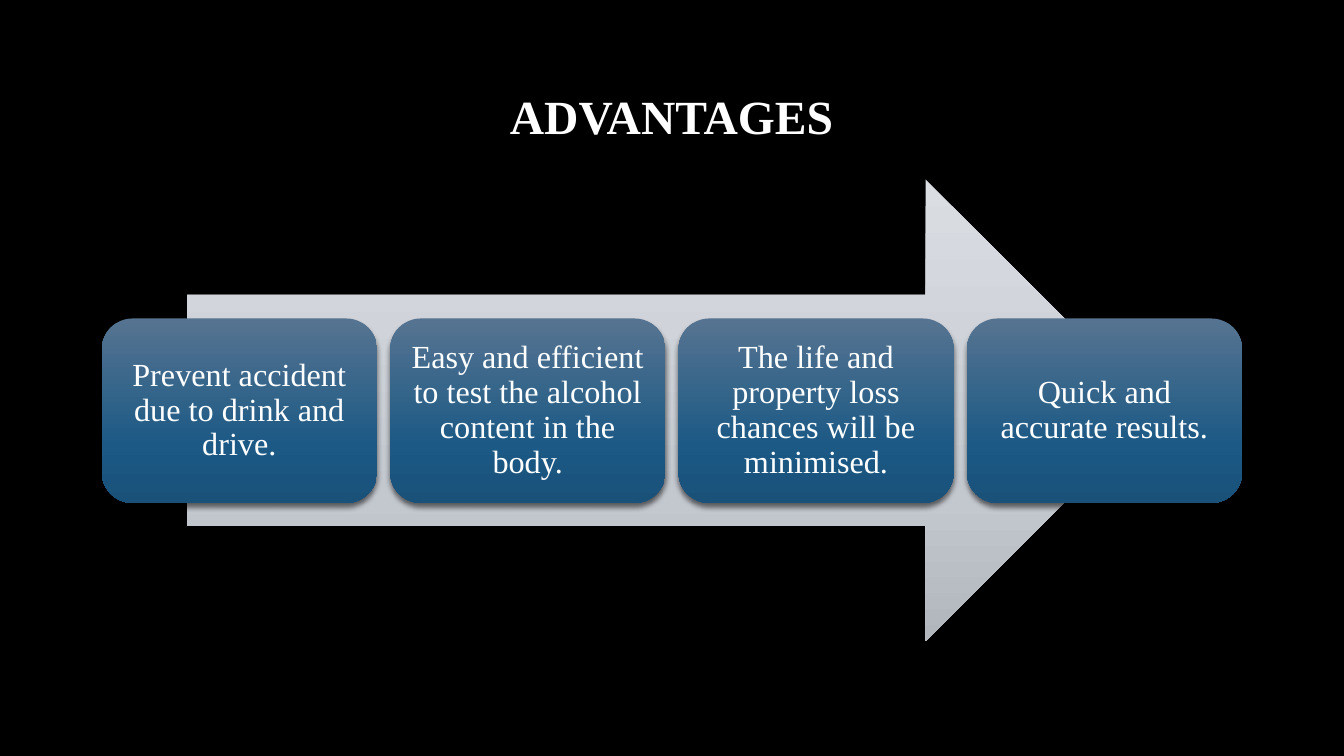
from pptx import Presentation
from pptx.dml.color import RGBColor
from pptx.enum.shapes import MSO_SHAPE
from pptx.enum.text import MSO_ANCHOR, PP_ALIGN
from pptx.oxml import parse_xml
from pptx.oxml.ns import nsdecls, qn
from pptx.util import Inches, Pt


def color(value):
    return RGBColor.from_string(value)


class SlideBuilder:
    font_name = "Times New Roman"
    text_color = "FFFFFF"

    def __init__(self, page, background):
        self.page = page
        page.background.fill.solid()
        page.background.fill.fore_color.rgb = color(background)

    def set_text(self, box, text, size, bold=False):
        frame = box.text_frame
        frame.text = text
        frame.word_wrap = True
        frame.vertical_anchor = MSO_ANCHOR.MIDDLE
        frame.margin_left = frame.margin_right = Inches(0.1)
        frame.margin_top = frame.margin_bottom = Inches(0.1)
        para = frame.paragraphs[0]
        para.alignment = PP_ALIGN.CENTER
        para.line_spacing = 0.9
        font = para.runs[0].font
        font.name, font.size, font.bold = self.font_name, Pt(size), bold
        font.color.rgb = color(self.text_color)

    def title(self, text, left, top, width, height, size):
        box = self.page.shapes.add_textbox(
            Inches(left), Inches(top), Inches(width), Inches(height))
        self.set_text(box, text, size, bold=True)

    def gradient_shape(self, kind, left, top, width, height, stops):
        shape = self.page.shapes.add_shape(
            kind, Inches(left), Inches(top), Inches(width), Inches(height))
        shape.line.fill.background()
        shape.shadow.inherit = False
        shape.fill.gradient()
        shape.fill.gradient_angle = 270
        # Replace the two default stops with the given ones
        stop_list = shape.element.spPr.find(".//" + qn("a:gsLst"))
        for stop in list(stop_list):
            stop_list.remove(stop)
        for position, value in stops:
            stop_list.append(parse_xml(
                f'<a:gs {nsdecls("a")} pos="{position * 1000}">'
                f'<a:srgbClr val="{value}"/></a:gs>'))
        return shape

    def card(self, text, left, top, width, height, stops, size):
        shape = self.gradient_shape(
            MSO_SHAPE.ROUNDED_RECTANGLE, left, top, width, height, stops)
        # Soft shadow straight below the card
        shape.element.spPr.find(qn("a:effectLst")).append(parse_xml(
            f'<a:outerShdw {nsdecls("a")} blurRad="{Pt(4)}" dist="{Pt(3)}" '
            'dir="5400000" rotWithShape="0"><a:srgbClr val="000000">'
            '<a:alpha val="54000"/></a:srgbClr></a:outerShdw>'))
        self.set_text(shape, text, size)


ARROW_STOPS = [(0, "DADDE2"), (69, "C3C8CF"), (100, "B0B6BC")]
CARD_STOPS = [(0, "567491"), (69, "1C5985"), (100, "195179")]
ADVANTAGES = [
    "Prevent accident due to drink and drive.",
    "Easy and efficient to test the alcohol content in the body.",
    "The life and property loss chances will be minimised.",
    "Quick and accurate results.",
]
CARD_LEFT, CARD_WIDTH, CARD_GAP = 1.01, 2.73, 0.13


def main():
    deck = Presentation()
    deck.slide_width, deck.slide_height = Inches(13.33), Inches(7.5)
    builder = SlideBuilder(deck.slides.add_slide(deck.slide_layouts[6]), "000000")

    # Title
    builder.title("ADVANTAGES", 1, 0.46, 11.32, 1.45, 34)

    # Arrow behind the cards
    builder.gradient_shape(
        MSO_SHAPE.RIGHT_ARROW, 1.85, 1.78, 9.62, 4.58, ARROW_STOPS)

    # Row of cards
    for index, advantage in enumerate(ADVANTAGES):
        left = CARD_LEFT + index * (CARD_WIDTH + CARD_GAP)
        builder.card(advantage, left, 3.16, CARD_WIDTH, 1.83, CARD_STOPS, 23)

    deck.save("out.pptx")


if __name__ == "__main__":
    main()
